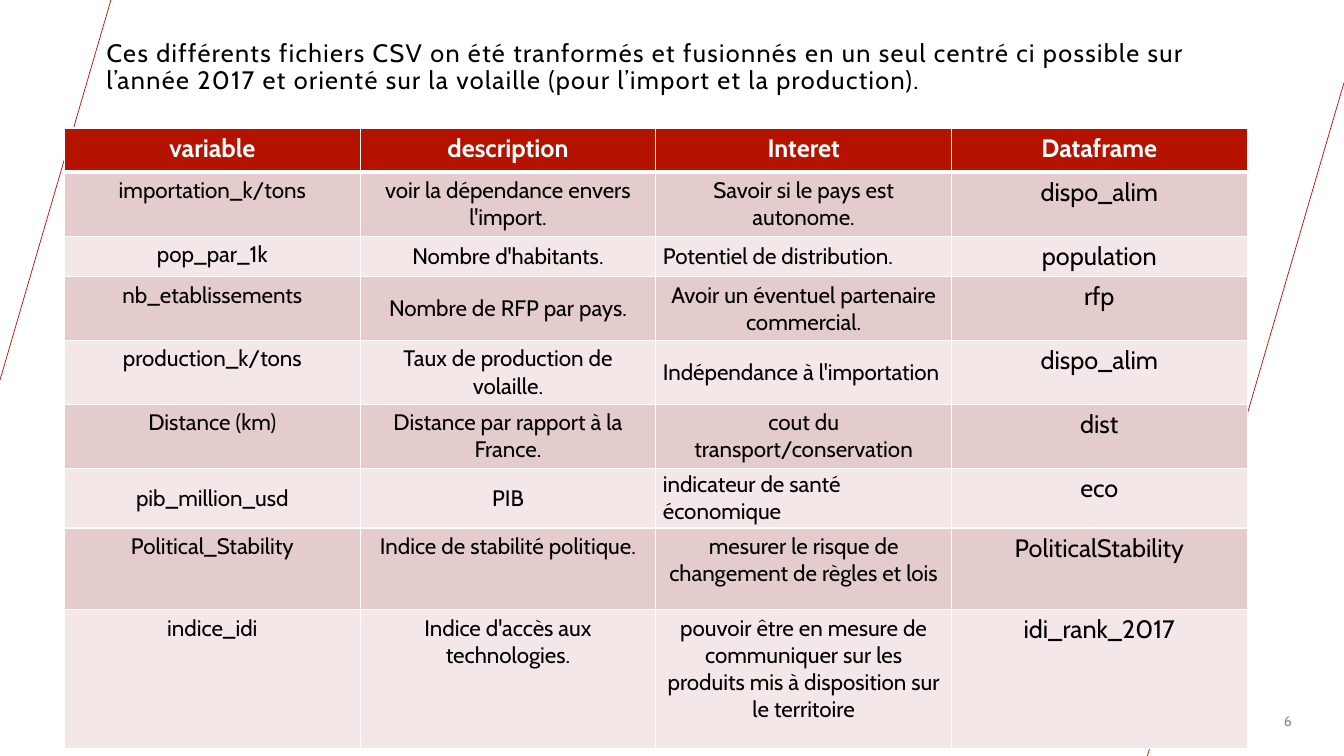
"""Build the slide describing the variables of the merged CSV file."""
from dataclasses import dataclass

import pptx
import pptx.dml.color
import pptx.enum.shapes
import pptx.enum.text
import pptx.oxml
import pptx.oxml.ns
import pptx.util
from pptx.util import Inches

FONT = "Cabin"
RED, WHITE, BLACK, GREY = "B51200", "FFFFFF", "000000", "898989"
BANDS = ("E5CCCC", "F3E7E7")
ALIGN = pptx.enum.text.PP_ALIGN
MIDDLE = pptx.enum.text.MSO_ANCHOR.MIDDLE


@dataclass
class Entry:
    text: str
    middle: bool = False
    align: ALIGN = ALIGN.CENTER


@dataclass
class Variable:
    height: float
    name: Entry
    description: Entry
    interest: Entry
    dataframe: Entry


@dataclass
class Slant:
    start: tuple[float, float]
    end: tuple[float, float]


SLANTS = [Slant((1.1, 0), (0, 3.77)), Slant((13.33, 0.82), (11.38, 7.5))]
HEADER = Variable(0.44, Entry("variable"), Entry("description"), Entry("Interet"), Entry("Dataframe"))
VARIABLES = [
    Variable(0.58, Entry("importation_k/tons"), Entry("voir la dépendance envers l'import.", True),
             Entry("Savoir si le pays est autonome."), Entry("dispo_alim")),
    Variable(0.38, Entry("pop_par_1k"), Entry("Nombre d'habitants.", True),
             Entry("Potentiel de distribution.", True, ALIGN.LEFT), Entry("population")),
    Variable(0.61, Entry("nb_etablissements"), Entry("Nombre de RFP par pays.", True),
             Entry("Avoir un éventuel partenaire commercial."), Entry("rfp")),
    Variable(0.56, Entry("production_k/tons"), Entry("Taux de production de volaille."),
             Entry("Indépendance à l'importation", True, ALIGN.LEFT), Entry("dispo_alim")),
    Variable(0.58, Entry("Distance (km)"), Entry("Distance par rapport à la France.", True),
             Entry("cout du transport/conservation"), Entry("dist")),
    Variable(0.54, Entry("pib_million_usd", True), Entry("PIB", True),
             Entry("indicateur de santé économique", True, ALIGN.LEFT), Entry("eco")),
    Variable(0.81, Entry("Political_Stability"), Entry("Indice de stabilité politique."),
             Entry("mesurer le risque de changement de règles et lois"), Entry("PoliticalStability")),
    Variable(1.38, Entry("indice_idi"), Entry("Indice d'accès aux technologies."),
             Entry("pouvoir être en mesure de communiquer sur les produits mis à disposition sur le territoire"),
             Entry("idi_rank_2017")),
]


def color(value: str) -> pptx.dml.color.RGBColor:
    return pptx.dml.color.RGBColor.from_string(value)


def add_span(para, text: str, size: float, ink: str, bold: bool = False):
    span = para.add_run()
    span.text = text
    span.font.name = FONT
    span.font.size = pptx.util.Pt(size)
    span.font.bold = bold
    span.font.color.rgb = color(ink)
    return span


def add_slant(page, slant: Slant) -> None:
    line = page.shapes.add_connector(pptx.enum.shapes.MSO_CONNECTOR.STRAIGHT,
                                     *map(Inches, slant.start + slant.end))
    line.line.color.rgb = color(RED)
    line.line.width = pptx.util.Pt(0.5)
    line._element.spPr.append(pptx.oxml.parse_xml(
        f'<a:effectLst {pptx.oxml.ns.nsdecls("a")}/>'))


def add_box(page, left: float, top: float, width: float, height: float):
    box = page.shapes.add_textbox(*map(Inches, (left, top, width, height)))
    box.text_frame.word_wrap = True
    return box.text_frame


def add_borders(cell, top: float, bottom: float) -> None:
    properties = cell._tc.get_or_add_tcPr()
    for side, width in (("L", 1), ("R", 1), ("T", top), ("B", bottom)):
        properties.append(pptx.oxml.parse_xml(
            f'<a:ln{side} {pptx.oxml.ns.nsdecls("a")} w="{pptx.util.Pt(width)}">'
            f'<a:solidFill><a:srgbClr val="{WHITE}"/></a:solidFill></a:ln{side}>'))


def fill_cell(cell, entry: Entry, row: int, column: int) -> None:
    header = row == 0
    add_borders(cell, 3 if row == 1 else 1, 3 if header else 1)
    cell.fill.solid()
    cell.fill.fore_color.rgb = color(RED if header else BANDS[(row - 1) % 2])
    if entry.middle:
        cell.vertical_anchor = MIDDLE
        cell.margin_left = cell.margin_right = Inches(0.07)
        cell.margin_top = cell.margin_bottom = Inches(0.03)
    para = cell.text_frame.paragraphs[0]
    para.alignment = entry.align
    size = 18 if header or column == 3 else 16
    add_span(para, entry.text, size, WHITE if header else BLACK, header)


def add_variables(page) -> None:
    rows = [HEADER, *VARIABLES]
    frame = page.shapes.add_table(len(rows), 4, Inches(0.64), Inches(1.27),
                                  Inches(11.73), Inches(sum(row.height for row in rows)))
    table = frame.table
    table.horz_banding = False
    for number, variable in enumerate(rows):
        table.rows[number].height = Inches(variable.height)
        entries = (variable.name, variable.description, variable.interest, variable.dataframe)
        for column, entry in enumerate(entries):
            fill_cell(table.cell(number, column), entry, number, column)


def main() -> None:
    deck = pptx.Presentation()
    deck.slide_width, deck.slide_height = Inches(13.33), Inches(7.5)
    page = deck.slides.add_slide(deck.slide_layouts[6])
    for slant in SLANTS:
        add_slant(page, slant)

    para = add_box(page, 0.96, 0.35, 11.41, 1.11).paragraphs[0]
    para.line_spacing = 0.9
    intro = add_span(para, "Ces différents fichiers CSV on été tranformés et fusionnés en un seul "
                     "centré ci possible sur l’année 2017 et orienté sur la volaille "
                     "(pour l’import et la production).", 18, BLACK)
    intro.font._element.set("spc", "100")

    number = add_box(page, 11.23, 6.95, 1.68, 0.4)
    number.vertical_anchor = MIDDLE
    number.paragraphs[0].alignment = ALIGN.RIGHT
    add_span(number.paragraphs[0], "6", 10, GREY)

    add_variables(page)
    deck.save("out.pptx")


if __name__ == "__main__":
    main()
